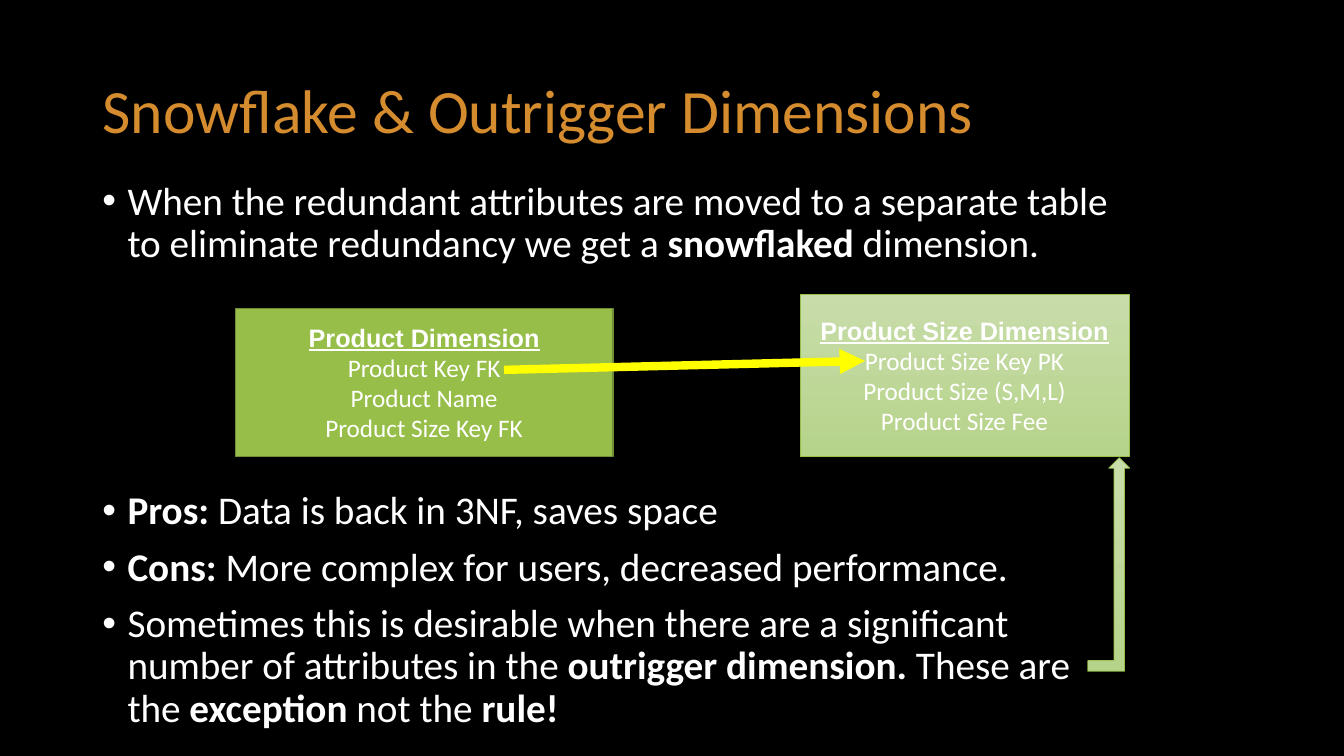
from lxml import etree
from pptx import Presentation
from pptx.dml.color import RGBColor
from pptx.enum.shapes import MSO_CONNECTOR, MSO_SHAPE
from pptx.enum.text import MSO_ANCHOR, MSO_AUTO_SIZE, PP_ALIGN
from pptx.oxml.ns import qn
from pptx.util import Pt

RECT, BENT = MSO_SHAPE.RECTANGLE, MSO_SHAPE.BENT_UP_ARROW
LINE = MSO_CONNECTOR.STRAIGHT
MIDDLE = MSO_ANCHOR.MIDDLE
LEFT, CENTER = PP_ALIGN.LEFT, PP_ALIGN.CENTER
FIXED = MSO_AUTO_SIZE.NONE

COLORS = {
    "back": "000000",
    "title": "D58C2E",
    "text": "FFFFFF",
    "green": "97BE49",
    "edge": "708D36",
    "light": "C8DCA9",
    "soft": "B6D38A",
    "link": "FFFF00",
}
PALE = ("light", "soft")

# Each point: space before, then runs with every second one bold
POINTS = [
    (10, ["When the redundant attributes are moved to a separate table "
          "to eliminate redundancy we get a ", "snowflaked", " dimension."]),
    (160.7, ["", "Pros:", " Data is back in 3NF, saves space"]),
    (10, ["", "Cons:", " More complex for users, decreased performance."]),
    (10, ["Sometimes this is desirable when there are a significant number "
          "of attributes in the ", "outrigger dimension. ", "These are the ",
          "exception ", "not the ", "rule!"]),
]
PRODUCT = ["Product Dimension", "Product Key FK", "Product Name",
           "Product Size Key FK"]
SIZE = ["Product Size Dimension", "Product Size Key PK",
        "Product Size (S,M,L)", "Product Size Fee"]


def color(name):
    return RGBColor.from_string(COLORS[name])


class Deck:
    """Holds the style and the current slide."""

    body, head = "Calibri", "Arial"

    def __init__(self):
        self.prs = Presentation()
        self.prs.slide_width, self.prs.slide_height = Pt(960), Pt(540)
        self.slide = self.prs.slides.add_slide(self.prs.slide_layouts[5])
        back = self.slide.background.fill
        back.solid()
        back.fore_color.rgb = color("back")

    def style(self, run, size, tone="text", bold=False, face=None):
        font = run.font
        font.name, font.size, font.bold = face or self.body, Pt(size), bold
        font.color.rgb = color(tone)

    def title(self, text, x, y, w, h):
        shape = self.slide.shapes.title
        shape.left, shape.top, shape.width, shape.height = map(Pt, (x, y, w, h))
        frame = shape.text_frame
        frame.text = text
        frame.auto_size, frame.vertical_anchor = FIXED, MIDDLE
        para = frame.paragraphs[0]
        para.alignment, para.line_spacing = LEFT, 0.9
        self.style(para.runs[0], 44, "title")

    def bullets(self, points, x, y, w, h):
        box = self.slide.shapes.add_textbox(*map(Pt, (x, y, w, h)))
        frame = box.text_frame
        frame.word_wrap = True
        for i, (gap, parts) in enumerate(points):
            para = frame.add_paragraph() if i else frame.paragraphs[0]
            para.line_spacing, para.space_before = 0.9, Pt(gap)
            props = para._p.get_or_add_pPr()
            props.set("marL", str(Pt(18)))
            props.set("indent", str(-Pt(18)))
            etree.SubElement(props, qn("a:buFont")).set("typeface", self.head)
            etree.SubElement(props, qn("a:buChar")).set("char", "•")
            for j, part in enumerate(parts):
                if part:
                    run = para.add_run()
                    run.text = part
                    self.style(run, 28, bold=j % 2 == 1)

    def shape(self, kind, x, y, w, h, fill, line, width):
        """Draw a preset shape; two fill names give a downward gradient."""
        item = self.slide.shapes.add_shape(kind, *map(Pt, (x, y, w, h)))
        item.shadow.inherit = False
        if len(fill) == 1:
            item.fill.solid()
            item.fill.fore_color.rgb = color(fill[0])
        else:
            item.fill.gradient()
            item.fill.gradient_angle = 270
            for stop, name in zip(item.fill.gradient_stops, fill):
                stop.color.rgb = color(name)
        item.line.color.rgb = color(line)
        item.line.width = Pt(width)
        return item

    def entity(self, lines, *look):
        """Draw a table box with an underlined heading and its fields."""
        frame = self.shape(RECT, *look).text_frame
        frame.text = "\n".join(lines)
        frame.word_wrap, frame.vertical_anchor = False, MIDDLE
        for i, para in enumerate(frame.paragraphs):
            para.alignment = CENTER
            run, top = para.runs[0], i == 0
            self.style(run, 18, bold=top, face=self.head if top else None)
            run.font.underline = top

    def arrow(self, x1, y1, x2, y2):
        link = self.slide.shapes.add_connector(
            LINE, *map(Pt, (x1, y1, x2, y2)))
        link.line.color.rgb = color("link")
        link.line.width = Pt(6)
        tip = etree.SubElement(link.line._get_or_add_ln(), qn("a:tailEnd"))
        tip.set("type", "triangle")
        etree.SubElement(link._element.spPr, qn("a:effectLst"))


def main():
    deck = Deck()
    deck.title("Snowflake & Outrigger Dimensions", 66, 28.8, 828, 104.4)
    deck.bullets(POINTS, 66, 126, 738, 402)
    deck.entity(PRODUCT, 168, 220.3, 270, 105.9, ("green",), "edge", 1)
    deck.entity(SIZE, 571.5, 210.2, 235, 116, PALE, "green", 0.5)
    deck.arrow(360, 264.2, 617.8, 257.8)
    deck.shape(BENT, 776.9, 326.9, 30.2, 152.6, PALE, "green", 0.5)
    deck.prs.save("out.pptx")


if __name__ == "__main__":
    main()
